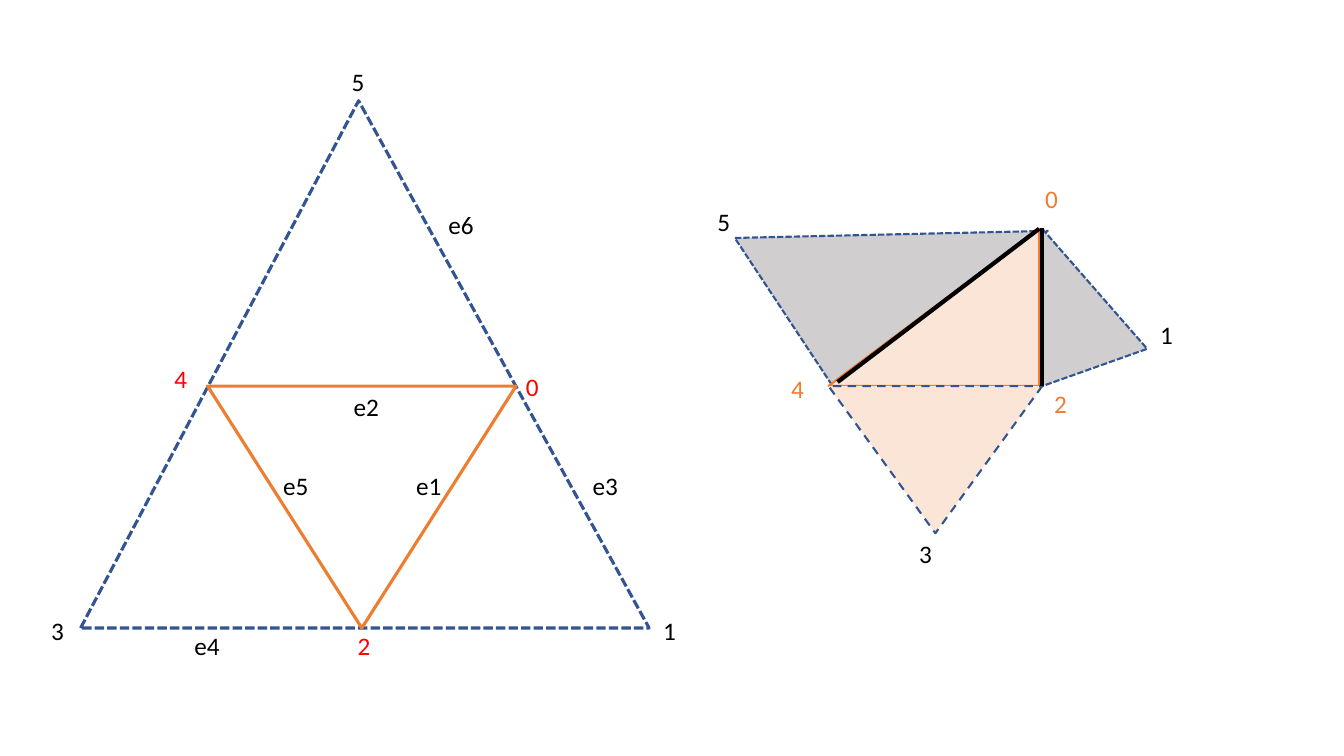
from lxml import etree
from pptx import Presentation
from pptx.dml.color import RGBColor
from pptx.enum.dml import MSO_LINE as Dash
from pptx.enum.shapes import MSO_CONNECTOR as Connector, MSO_SHAPE as Shape
from pptx.enum.text import MSO_ANCHOR as Anchor, MSO_AUTO_SIZE as AutoSize, PP_ALIGN as Align
from pptx.oxml.ns import qn
from pptx.util import Pt

# Content: lengths in points
BLUE, ORANGE, BLACK, RED = "325491", "ED7D31", "000000", "FF0000"
GREY, PEACH = "D0CECE", "FBE5D6"

# Triangles: (left, top, width, height), then format
FLAT_NET = {
    "triangles": [
        ((57.6, 72, 406.1, 376.6),
         dict(apex=0.489, line=BLUE, weight=2.25, dash=Dash.SQUARE_DOT)),
        ((148.3, 275.8, 220.3, 172.8),
         dict(rotation=180, line=ORANGE, weight=2.25)),
    ],
    "label_size": (33.1, 28.8),
    "labels": [
        ("5", 244.1, 43.9, BLACK),
        ("0", 368.6, 261.4, RED),
        ("4", 117.4, 256.3, RED),
        ("2", 248.4, 446.4, RED),
        ("3", 29.5, 436.3, BLACK),
        ("1", 466.6, 436.3, BLACK),
        ("e4", 131.8, 446.4, BLACK),
        ("e2", 245.5, 275.8, BLACK),
        ("e5", 195.1, 332.6, BLACK),
        ("e1", 290.2, 332.6, BLACK),
        ("e3", 416.2, 332.6, BLACK),
        ("e6", 313.2, 146.2, BLACK),
    ],
    "edges": [],
}
FOLDED_NET = {
    "triangles": [
        ((540, 105.8, 189.4, 126),
         dict(rotation=324.4, apex=0.025, fill=GREY, line=BLUE, dash=Dash.SQUARE_DOT)),
        ((591.8, 163.4, 150.5, 112.3),
         dict(apex=1, fill=PEACH, line=ORANGE)),
        ((725.8, 182.2, 112.3, 74.9),
         dict(rotation=90, apex=0.763, fill=GREY, line=BLUE, dash=Dash.SQUARE_DOT)),
        ((591.8, 275.8, 152.6, 105.1),
         dict(rotation=180, fill=PEACH, line=BLUE, dash=Dash.DASH)),
    ],
    "label_size": (37.4, 38.2),
    "labels": [
        ("0", 739.4, 127.4, ORANGE),
        ("5", 505.4, 144, BLACK),
        ("4", 558, 262.8, ORANGE),
        ("3", 649.4, 380.9, BLACK),
        ("1", 821.5, 224.6, BLACK),
        ("2", 745.9, 273.6, ORANGE),
    ],
    "edges": [
        (598.3, 272.9, 742.3, 163.4),
        (744.5, 275.8, 744.5, 162.7),
    ],
}


def color(hex_string):
    return RGBColor.from_string(hex_string)


def points(values):
    return [Pt(value) for value in values]


def set_line(line, hex_string, weight, dash=None):
    line.color.rgb = color(hex_string)
    line.width = Pt(weight)
    if dash is not None:
        line.dash_style = dash


def add_triangle(shapes, box, line, weight=1.5, dash=None, fill=None, apex=0.5, rotation=0):
    triangle = shapes.add_shape(Shape.ISOSCELES_TRIANGLE, *points(box))
    triangle.shadow.inherit = False
    triangle.adjustments[0] = apex
    triangle.rotation = rotation
    if fill:
        triangle.fill.solid()
        triangle.fill.fore_color.rgb = color(fill)
    else:
        triangle.fill.background()
    set_line(triangle.line, line, weight, dash)


def add_label(shapes, text, box, font_color=BLACK, size=18, font="Calibri"):
    frame = shapes.add_textbox(*points(box)).text_frame
    frame.word_wrap = True
    frame.auto_size = AutoSize.SHAPE_TO_FIT_TEXT
    frame.vertical_anchor = Anchor.TOP
    paragraph = frame.paragraphs[0]
    paragraph.alignment = Align.LEFT
    run = paragraph.add_run()
    run.text = text
    run.font.name = font
    run.font.size = Pt(size)
    run.font.color.rgb = color(font_color)


def add_edge(shapes, ends):
    edge = shapes.add_connector(Connector.STRAIGHT, *points(ends))
    set_line(edge.line, BLACK, 3)
    etree.SubElement(edge._element.spPr, qn("a:effectLst"))


def add_net(slide, net):
    shapes = slide.shapes.add_group_shape().shapes
    for box, style in net["triangles"]:
        add_triangle(shapes, box, **style)
    for text, left, top, font_color in net["labels"]:
        add_label(shapes, text, (left, top, *net["label_size"]), font_color=font_color)
    for ends in net["edges"]:
        add_edge(shapes, ends)


def main():
    presentation = Presentation()
    presentation.slide_width = Pt(960)
    presentation.slide_height = Pt(540)
    slide = presentation.slides.add_slide(presentation.slide_layouts[6])
    for net in (FLAT_NET, FOLDED_NET):
        add_net(slide, net)
    presentation.save("out.pptx")


if __name__ == "__main__":
    main()
